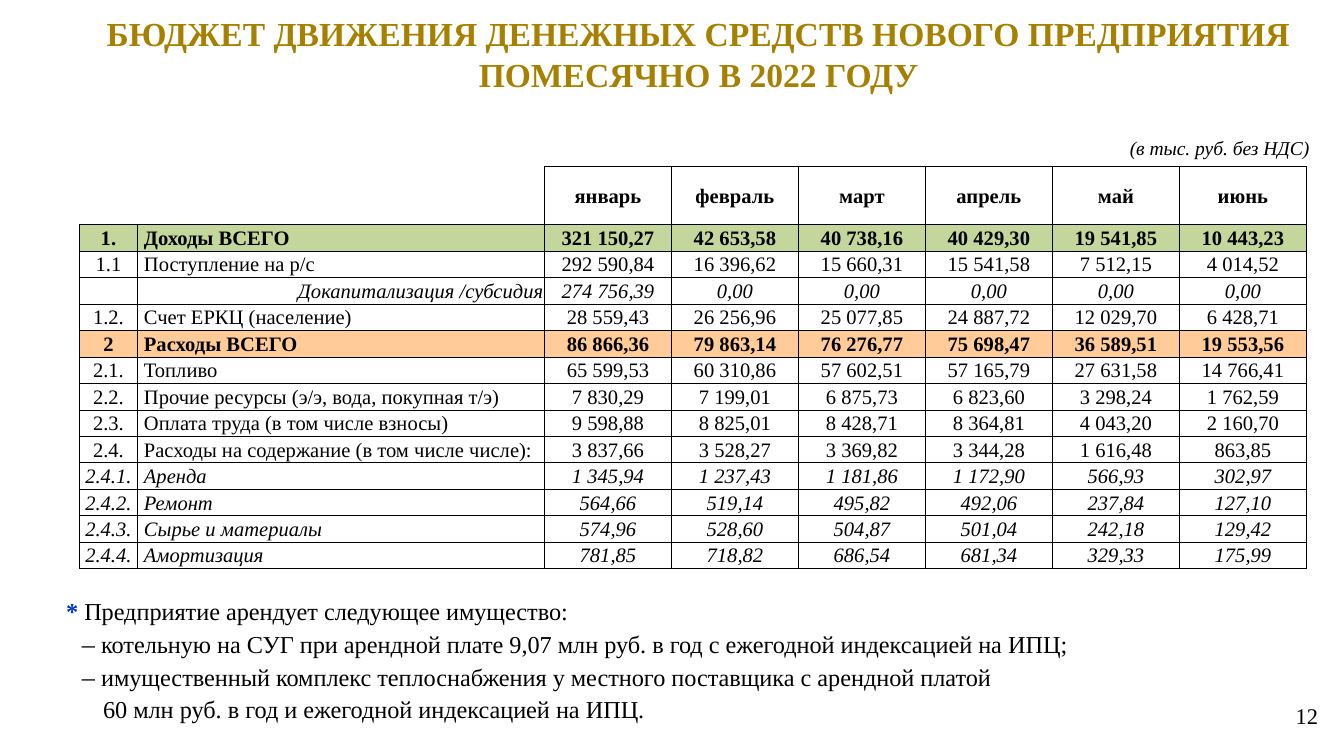
"""Builds the slide with the monthly cash flow budget of the new enterprise."""
import dataclasses

import lxml.etree
import pptx
import pptx.dml.color
import pptx.enum.text
import pptx.oxml.ns
import pptx.util

Cm, Pt = pptx.util.Cm, pptx.util.Pt
Align = pptx.enum.text.PP_ALIGN
Anchor = pptx.enum.text.MSO_ANCHOR
qn = pptx.oxml.ns.qn


@dataclasses.dataclass
class Theme:
    face: str = "Times New Roman"
    ink: str = "000000"
    gold: str = "A88000"
    blue: str = "0033CC"
    green: str = "C3D69B"
    peach: str = "FFCC99"
    head: float = 18
    note: float = 13
    dash: float = 14
    page: float = 12
    cell: float = 11
    unit: float = 10.5
    rule: float = 0.5


theme = Theme()


def write(para, text, size, color=theme.ink, **style):
    run = para.add_run()
    run.text = text
    form = {"name": theme.face, "size": Pt(size), "bold": False, "italic": False, **style}
    for key, value in form.items():
        setattr(run.font, key, value)
    run.font.color.rgb = pptx.dml.color.RGBColor.from_string(color)


def frame(shape, **form):
    for key, value in form.items():
        setattr(shape.text_frame, key, value)
    return shape.text_frame.paragraphs[0]


deck = pptx.Presentation()
deck.slide_width, deck.slide_height = Cm(25.4), Cm(14.29)
slide = deck.slides.add_slide(deck.slide_layouts[5])

title = slide.shapes.title
place = {"left": Cm(1.7), "top": Cm(0.15), "width": Cm(23.01), "height": Cm(1.8)}
for key, value in place.items():
    setattr(title, key, value)
para = frame(
    title,
    vertical_anchor=Anchor.TOP,
    word_wrap=True,
    auto_size=pptx.enum.text.MSO_AUTO_SIZE.NONE,
    margin_left=Cm(0.18),
    margin_right=Cm(0.18),
    margin_top=Cm(0.1),
    margin_bottom=Cm(0.1),
)
para.alignment = Align.CENTER
heading = "БЮДЖЕТ ДВИЖЕНИЯ ДЕНЕЖНЫХ СРЕДСТВ НОВОГО ПРЕДПРИЯТИЯ ПОМЕСЯЧНО В 2022 ГОДУ"
write(para, heading, theme.head, theme.gold, bold=True)

unit = slide.shapes.add_textbox(Cm(20.6), Cm(2.44), Cm(4.4), Cm(0.7))
para = frame(unit, word_wrap=True)
para.alignment = Align.RIGHT
write(para, "(в тыс. руб. без НДС)", theme.unit, italic=True)

rows = [
    ("", "", "январь|февраль|март|апрель|май|июнь"),
    ("1.", "Доходы ВСЕГО", "321 150,27|42 653,58|40 738,16|40 429,30|19 541,85|10 443,23"),
    ("1.1", "Поступление на р/с", "292 590,84|16 396,62|15 660,31|15 541,58|7 512,15|4 014,52"),
    ("", "Докапитализация /субсидия", "274 756,39|0,00|0,00|0,00|0,00|0,00"),
    ("1.2.", "Счет ЕРКЦ (население)", "28 559,43|26 256,96|25 077,85|24 887,72|12 029,70|6 428,71"),
    ("2", "Расходы ВСЕГО", "86 866,36|79 863,14|76 276,77|75 698,47|36 589,51|19 553,56"),
    ("2.1.", "Топливо", "65 599,53|60 310,86|57 602,51|57 165,79|27 631,58|14 766,41"),
    ("2.2.", "Прочие ресурсы (э/э, вода, покупная т/э)",
     "7 830,29|7 199,01|6 875,73|6 823,60|3 298,24|1 762,59"),
    ("2.3.", "Оплата труда (в том числе взносы)",
     "9 598,88|8 825,01|8 428,71|8 364,81|4 043,20|2 160,70"),
    ("2.4.", "Расходы на содержание (в том числе числе):",
     "3 837,66|3 528,27|3 369,82|3 344,28|1 616,48|863,85"),
    ("2.4.1.", "Аренда", "1 345,94|1 237,43|1 181,86|1 172,90|566,93|302,97"),
    ("2.4.2.", "Ремонт", "564,66|519,14|495,82|492,06|237,84|127,10"),
    ("2.4.3.", "Сырье и материалы", "574,96|528,60|504,87|501,04|242,18|129,42"),
    ("2.4.4.", "Амортизация", "781,85|718,82|686,54|681,34|329,33|175,99"),
]
fills = {1: theme.green, 5: theme.peach}
bolds = {0, *fills}
slants = {3, 10, 11, 12, 13}
corner = {(0, 0): ["lnB"], (0, 1): ["lnR", "lnB"]}
sides = ["lnL", "lnR", "lnT", "lnB"]
widths = [1.1, 7.69] + [2.4] * 6
heights = [1.1] + [0.5] * 13

box = slide.shapes.add_table(
    len(rows), len(widths), Cm(1.5), Cm(3.15), Cm(sum(widths)), Cm(sum(heights))
)
table = box.table
table.first_row = table.horz_banding = False
table._tbl.tblPr.find(qn("a:tableStyleId")).text = "{2D5ABB26-0587-4C30-8999-92F81FD0307C}"
for col, width in zip(table.columns, widths):
    col.width = Cm(width)
for row, height in zip(table.rows, heights):
    row.height = Cm(height)

for r, (code, label, sums) in enumerate(rows):
    for c, text in enumerate([code, label, *sums.split("|")]):
        cell = table.cell(r, c)
        left = c == 1 and r != 3
        form = {
            "vertical_anchor": Anchor.MIDDLE,
            "margin_left": Cm(0.12 if left else 0.02),
            "margin_right": Cm(0.02),
            "margin_top": Cm(0.02),
            "margin_bottom": 0,
        }
        for key, value in form.items():
            setattr(cell, key, value)
        para = cell.text_frame.paragraphs[0]
        para.alignment = Align.LEFT if left else Align.RIGHT if c == 1 else Align.CENTER
        if text:
            write(para, text, theme.cell, bold=r in bolds, italic=r in slants)
        else:
            lxml.etree.SubElement(para._p, qn("a:endParaRPr"), sz=str(theme.cell * 100))
        props = cell._tc.get_or_add_tcPr()
        for side in corner.get((r, c), sides):
            line = lxml.etree.SubElement(props, qn("a:" + side), w=str(Pt(theme.rule)))
            paint = lxml.etree.SubElement(line, qn("a:solidFill"))
            lxml.etree.SubElement(paint, qn("a:srgbClr"), val=theme.ink)
        if r in fills:
            cell.fill.solid()
            cell.fill.fore_color.rgb = pptx.dml.color.RGBColor.from_string(fills[r])
        else:
            cell.fill.background()

notes = [
    (0, "*", " Предприятие арендует следующее имущество:"),
    (0.3, "–", " котельную на СУГ при арендной плате 9,07 млн руб. в год с ежегодной индексацией на ИПЦ;"),
    (0.3, "–", " имущественный комплекс теплоснабжения у местного поставщика с арендной платой"),
    (0.7, "", "60 млн руб. в год и ежегодной индексацией на ИПЦ."),
]
marks = {
    "*": {"size": theme.note, "color": theme.blue, "bold": True},
    "–": {"size": theme.dash},
}
note = slide.shapes.add_textbox(Cm(1), Cm(11.15), Cm(20), Cm(2.6))
para = frame(note, word_wrap=True)
for n, (inset, mark, text) in enumerate(notes):
    if n:
        para = note.text_frame.add_paragraph()
        para.space_before = Pt(1)
    para._p.get_or_add_pPr().set("marL", str(Cm(inset)))
    if mark:
        write(para, mark, **marks[mark])
    write(para, text, theme.note)

page = slide.shapes.add_textbox(Cm(24.3), Cm(13.13), Cm(0.8), Cm(0.8))
para = frame(
    page,
    vertical_anchor=Anchor.MIDDLE,
    word_wrap=True,
    margin_left=Cm(0.13),
    margin_right=Cm(0.13),
    margin_top=Cm(0.08),
    margin_bottom=Cm(0.08),
)
para.alignment = Align.CENTER
write(para, "12", theme.page)

deck.save("out.pptx")
